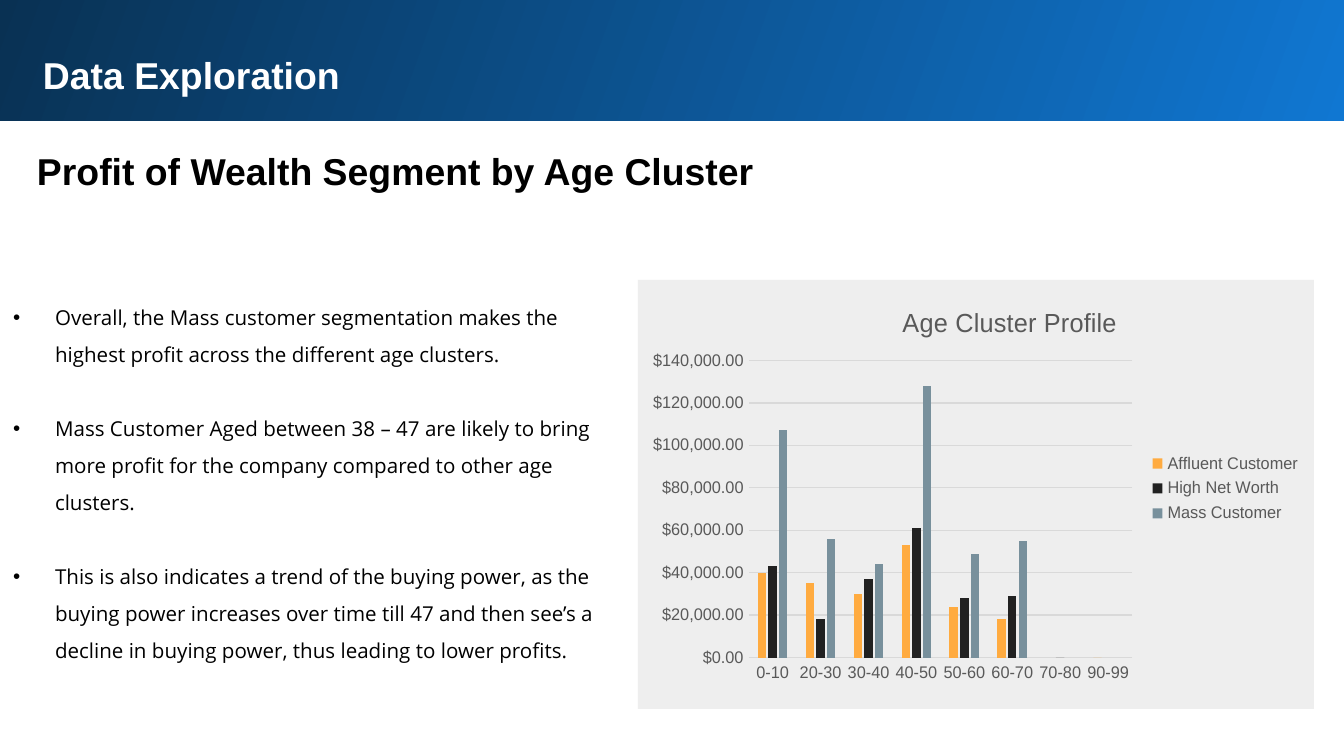
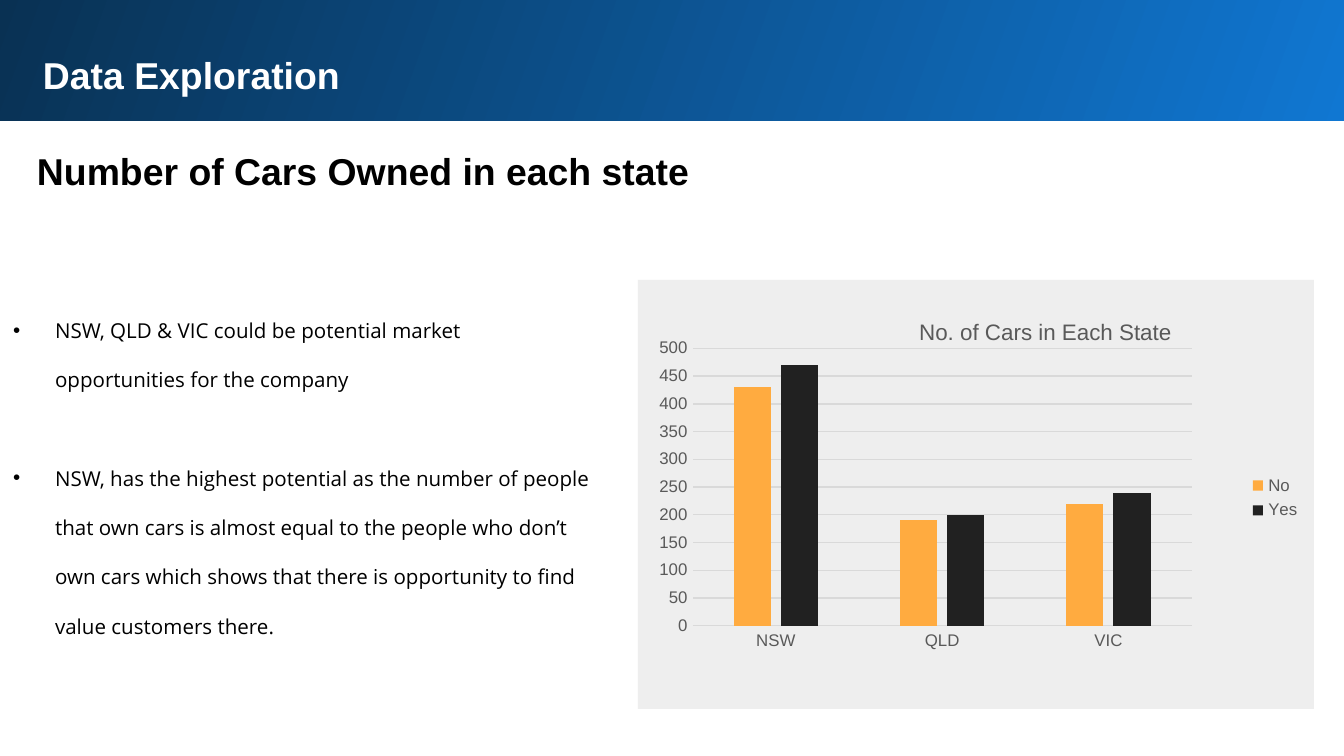
"""Build two data exploration slides, each with findings and a column chart."""
from lxml import etree
from pptx import Presentation
from pptx.chart.data import CategoryChartData
from pptx.dml.color import RGBColor
from pptx.enum.chart import XL_CHART_TYPE, XL_LEGEND_POSITION, XL_TICK_MARK
from pptx.enum.shapes import MSO_SHAPE
from pptx.enum.text import MSO_ANCHOR, MSO_AUTO_SIZE, PP_ALIGN
from pptx.oxml import parse_xml
from pptx.oxml.ns import nsdecls, qn
from pptx.util import Emu, Pt

COLUMN = XL_CHART_TYPE.COLUMN_CLUSTERED
RIGHT = XL_LEGEND_POSITION.RIGHT
NO_TICK = XL_TICK_MARK.NONE
RECT = MSO_SHAPE.RECTANGLE
TOP = MSO_ANCHOR.TOP
FIXED = MSO_AUTO_SIZE.NONE
LEFT = PP_ALIGN.LEFT

HUES = {
    "bright": "1077D2", "deep": "093153", "white": "FFFFFF", "black": "000000",
    "panel": "EEEEEE", "label": "595959", "grid": "D9D9D9",
}
FILLS = ["FFAB40", "212121", "78909C"]
HEAD = "Data Exploration"
BAND = (-3, -3, 1351, 124)
HEAD_BOX = (30, 39, 1259, 73)
TITLE_BOX = (30, 141, 1271, 59)
PANEL = (638, 280, 676, 429)
INDENT = 42

SLIDES = [
    {
        "title": "Profit of Wealth Segment by Age Cluster",
        "list": [
            "Overall, the Mass customer segmentation makes the highest profit "
            "across the different age clusters.",
            "Mass Customer Aged between 38 – 47 are likely to bring more profit "
            "for the company compared to other age clusters.",
            "This is also indicates a trend of the buying power, as the buying "
            "power increases over time till 47 and then see’s a decline in "
            "buying power, thus leading to lower profits.",
        ],
        "box": (0, 280, 607, 397), "lead": 1.5, "gap": 19.8,
        "chart": {
            "name": "Age Cluster Profile", "size": 14, "over": "1",
            "box": (653, 280, 661, 417), "spot": (0.35, 0.05),
            "plot": (0.117, 0.193, 0.599, 0.713), "form": "[$$-45C]#,##0.00",
            "cats": ["0-10", "20-30", "30-40", "40-50",
                     "50-60", "60-70", "70-80", "90-99"],
            "rows": {
                "Affluent Customer":
                    [40000, 35000, 30000, 53000, 24000, 18000, None, 0],
                "High Net Worth":
                    [43000, 18000, 37000, 61000, 28000, 29000, 0, None],
                "Mass Customer":
                    [107000, 56000, 44000, 128000, 49000, 55000, None, None],
            },
        },
    },
    {
        "title": "Number of Cars Owned in each state",
        "list": [
            "NSW, QLD & VIC could be potential market opportunities for the "
            "company",
            "NSW, has the highest potential as the number of people that own "
            "cars is almost equal to the people who don’t own cars which shows "
            "that there is opportunity to find value customers there.",
        ],
        "box": (0, 280, 607, 368), "lead": 2.0, "gap": 26.4,
        "chart": {
            "name": "No. of Cars in Each State", "size": 12, "over": "0",
            "box": (638, 289, 676, 418), "spot": (0.41, 0.06),
            "plot": (0.081, 0.142, 0.738, 0.664), "form": "General",
            "cats": ["NSW", "QLD", "VIC"],
            "rows": {"No": [430, 190, 220], "Yes": [470, 200, 240]},
        },
    },
]


def px(num):
    """Turn pixels into EMU."""
    return Emu(round(num * 914400 / 134.4))


def tint(name):
    """Look up a named colour."""
    return RGBColor.from_string(HUES[name])


def put(item, **vals):
    """Set each attribute that is given."""
    for key, val in vals.items():
        setattr(item, key, val)


def move(shape, box):
    """Place a shape by its pixel box."""
    put(shape, **dict(zip(("left", "top", "width", "height"), map(px, box))))


def ink(font, size, hue, name="Arial", bold=False):
    """Format a font."""
    put(font, size=Pt(size), name=name, bold=bold)
    font.color.rgb = tint(hue)


def frame(shape, pad):
    """Prepare a text frame with equal margins."""
    text = shape.text_frame
    put(text, word_wrap=True, auto_size=FIXED, vertical_anchor=TOP)
    put(text, **{f"margin_{side}": px(pad)
                 for side in ("left", "top", "right", "bottom")})
    return text


def block(slide, box):
    """Add a plain rectangle."""
    shape = slide.shapes.add_shape(RECT, *map(px, box))
    shape.shadow.inherit = False
    shape.line.fill.background()
    return shape


def line(shape, text, pad, hue):
    """Write one bold heading."""
    area = frame(shape, pad)
    area.text = text
    para = area.paragraphs[0]
    para.alignment = LEFT
    ink(para.font, 20, hue, bold=True)


def points(shape, data):
    """Write the bulleted findings."""
    move(shape, data["box"])
    area = frame(shape, 13)
    area.text = "\n".join(data["list"])
    for para in area.paragraphs:
        put(para, line_spacing=data["lead"], space_before=Pt(0),
            space_after=Pt(data["gap"]))
        ink(para.font, 11, "black", "Open Sans")
        props = para._p.get_or_add_pPr()
        props.set("marL", str(px(INDENT)))
        props.set("indent", str(px(-INDENT)))


def layout(host, spot, inner=False):
    """Give a chart part a manual layout."""
    for old in host.findall(qn("c:layout")):
        host.remove(old)
    node = etree.Element(qn("c:layout"))
    man = etree.SubElement(node, qn("c:manualLayout"))
    pairs = [("layoutTarget", "inner")] if inner else []
    pairs += [("xMode", "edge"), ("yMode", "edge"), *zip("xywh", spot)]
    for key, val in pairs:
        etree.SubElement(man, qn(f"c:{key}")).set("val", str(val))
    host.insert(0 if inner else 1, node)


def clear():
    """Make an empty fill for a chart part."""
    return parse_xml(f'<c:spPr {nsdecls("c", "a")}><a:noFill/>'
                     '<a:ln><a:noFill/></a:ln></c:spPr>')


def graph(slide, data):
    """Add the column chart."""
    info = CategoryChartData()
    info.categories = data["cats"]
    for name, vals in data["rows"].items():
        info.add_series(name, vals)
    chart = slide.shapes.add_chart(COLUMN, *map(px, data["box"]), info).chart
    ink(chart.font, 10, "black")

    chart.has_title = True
    title = chart.chart_title
    title.text_frame.text = data["name"]
    ink(title.text_frame.paragraphs[0].runs[0].font, data["size"], "label")
    layout(title._element, data["spot"])
    title._element.find(qn("c:overlay")).set("val", data["over"])

    chart.has_legend = True
    put(chart.legend, position=RIGHT, include_in_layout=False)
    ink(chart.legend.font, 9, "label")
    cat, val = chart.category_axis, chart.value_axis
    for axis in (cat, val):
        put(axis, major_tick_mark=NO_TICK, minor_tick_mark=NO_TICK)
        ink(axis.tick_labels.font, 9, "label")
    put(val.tick_labels, number_format=data["form"],
        number_format_is_linked=False)
    val.format.line.fill.background()
    for rule in (cat.format.line, val.major_gridlines.format.line):
        rule.width = Pt(0.75)
        rule.color.rgb = tint("grid")

    plot = chart.plots[0]
    put(plot, gap_width=219, overlap=-27, vary_by_categories=False)
    for row, fill in zip(plot.series, FILLS):
        row.format.fill.solid()
        row.format.fill.fore_color.rgb = RGBColor.from_string(fill)
    root = chart._chartSpace.find(qn("c:chart"))
    area = root.find(qn("c:plotArea"))
    layout(area, data["plot"], inner=True)
    area.append(clear())
    root.addnext(clear())


def build(deck, data):
    """Add one slide."""
    slide = deck.slides.add_slide(deck.slide_layouts[1])
    title, body = slide.placeholders
    move(title, TITLE_BOX)
    line(title, data["title"], 7, "black")
    points(body, data)

    fill = block(slide, BAND).fill
    fill.gradient()
    fill.gradient_angle = 160
    for stop, hue in zip(fill.gradient_stops, ("bright", "deep")):
        stop.color.rgb = tint(hue)
    head = slide.shapes.add_textbox(*map(px, HEAD_BOX))
    line(head, HEAD, 13, "white")

    panel = block(slide, PANEL)
    panel.fill.solid()
    panel.fill.fore_color.rgb = tint("panel")
    graph(slide, data["chart"])


def main():
    """Build and save the deck."""
    deck = Presentation()
    put(deck, slide_width=px(1344), slide_height=px(756))
    for data in SLIDES:
        build(deck, data)
    deck.save("out.pptx")


if __name__ == "__main__":
    main()
